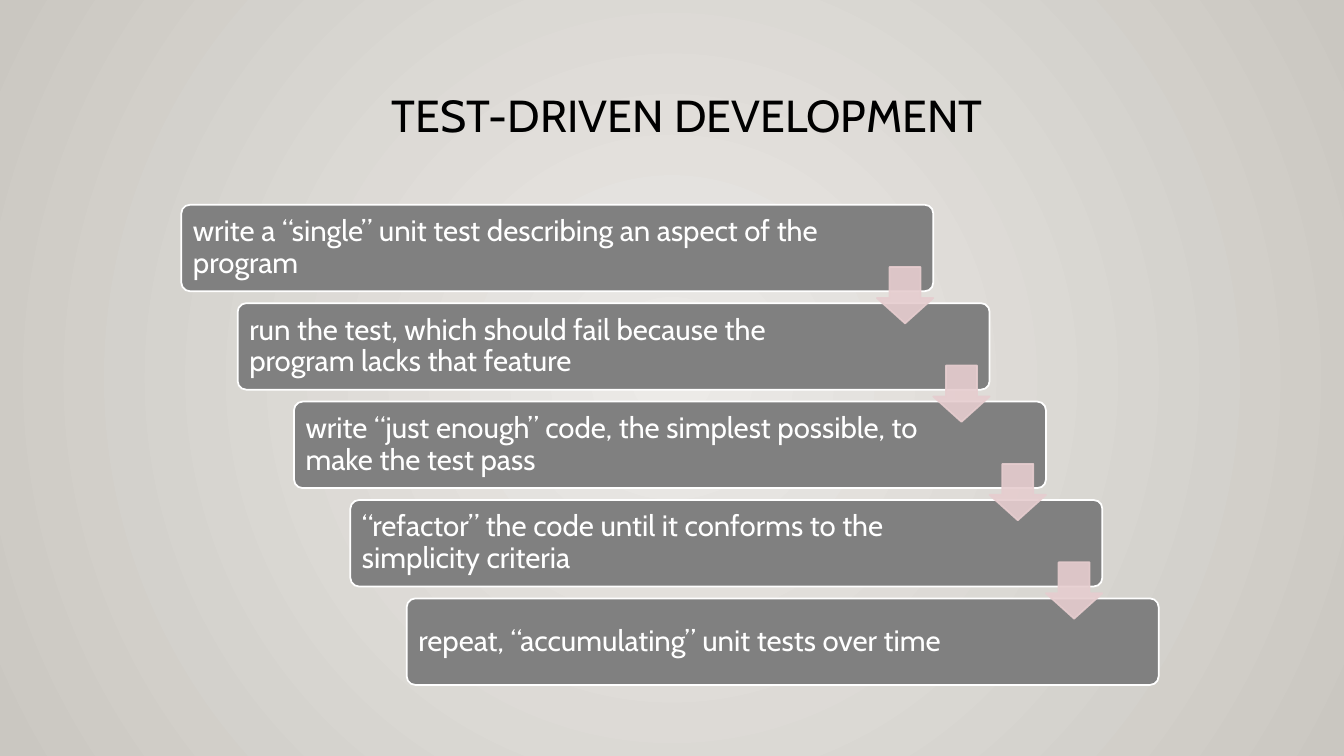
from lxml.etree import SubElement
from pptx import Presentation
from pptx.dml.color import RGBColor
from pptx.enum.shapes import MSO_SHAPE
from pptx.enum.text import MSO_ANCHOR, PP_ALIGN
from pptx.oxml.ns import qn
from pptx.util import Cm, Pt

TITLE = "TEST-DRIVEN DEVELOPMENT"
STEPS = [
    ("write a “single” unit test describing an aspect of the program", 2.72),
    ("run the test, which should fail because the program lacks that feature", 3.07),
    ("write “just enough” code, the simplest possible, to make the test pass", 3.07),
    ("“refactor” the code until it conforms to the simplicity criteria", 3.07),
    ("repeat, “accumulating” unit tests over time", 3.07),
]
COLORS = {
    "center": "ECEAE7", "edge": "CAC7C1", "bar": "808080",
    "white": "FFFFFF", "black": "000000", "arrow": "E6CDCF",
}
LEFT, TOP = 4.57, 5.16
WIDTH, HEIGHT = 18.95, 2.18
SHIFT, DROP = 1.42, 2.48
ARROW, FALL = 1.42, 1.57


def color(name):
    return RGBColor.from_string(COLORS[name])


def apply(target, values):
    for key, value in values.items():
        setattr(target, key, value)


def write(shape, text, size, tint, frame, para):
    box = shape.text_frame
    apply(box, {"word_wrap": True, **frame})
    line = box.paragraphs[0]
    apply(line, {"line_spacing": 0.9, **para})
    run = line.add_run()
    run.text = text
    apply(run.font, {"name": "Cabin", "size": Pt(size)})
    run.font.color.rgb = color(tint)


def draw(slide, kind, place, fill, edge, adjust):
    shape = slide.shapes.add_shape(kind, *[Cm(n) for n in place])
    shape.shadow.inherit = False
    shape.fill.solid()
    shape.fill.fore_color.rgb = color(fill)
    shape.line.color.rgb = color(edge)
    shape.line.width = Pt(1.25)
    for spot, value in enumerate(adjust):
        shape.adjustments[spot] = value
    return shape


def paint(slide):
    fill = slide.background.fill
    fill.gradient()
    for stop, name in zip(fill.gradient_stops, ("center", "edge")):
        stop.color.rgb = color(name)
    grad = next(slide.background._cSld.iter(qn("a:gradFill")))
    grad.remove(grad.find(qn("a:lin")))
    ring = SubElement(grad, qn("a:path"), {"path": "circle"})
    SubElement(ring, qn("a:fillToRect"), dict.fromkeys("ltrb", "50000"))


def main():
    deck = Presentation()
    apply(deck, {"slide_width": Cm(33.87), "slide_height": Cm(19.05)})
    slide = deck.slides.add_slide(deck.slide_layouts[6])
    paint(slide)

    title = slide.shapes.add_textbox(Cm(3.99), Cm(2.24), Cm(26.67), Cm(2.92))
    write(title, TITLE, 32, "black", {"vertical_anchor": MSO_ANCHOR.TOP},
          {"alignment": PP_ALIGN.CENTER})

    for row, (text, right) in enumerate(STEPS):
        place = (LEFT + row * SHIFT, TOP + row * DROP, WIDTH, HEIGHT)
        bar = draw(slide, MSO_SHAPE.ROUNDED_RECTANGLE, place, "bar", "white", [0.1])
        frame = {
            "vertical_anchor": MSO_ANCHOR.MIDDLE,
            "margin_left": Cm(0.23), "margin_right": Cm(right),
            "margin_top": Cm(0.23), "margin_bottom": Cm(0.23),
        }
        write(bar, text, 21, "white", frame, {"alignment": PP_ALIGN.LEFT})

    for row in range(len(STEPS) - 1):
        side = LEFT + row * SHIFT + WIDTH - ARROW
        place = (side, TOP + row * DROP + FALL, ARROW, ARROW)
        arrow = draw(slide, MSO_SHAPE.DOWN_ARROW, place, "arrow", "arrow", [0.55, 0.45])
        for tone in arrow._element.spPr.iter(qn("a:srgbClr")):
            SubElement(tone, qn("a:alpha"), {"val": "90000"})

    deck.save("out.pptx")


if __name__ == "__main__":
    main()
